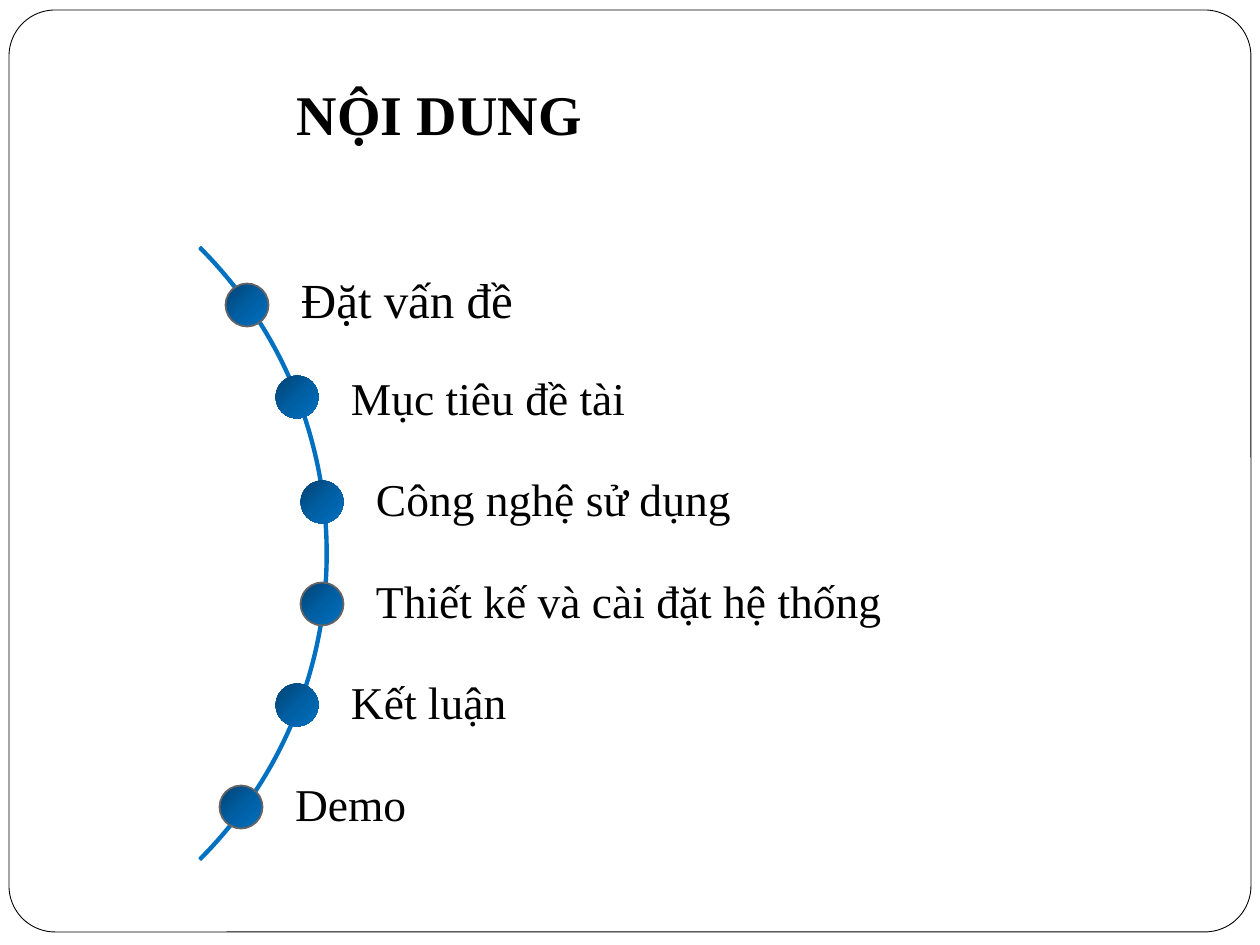
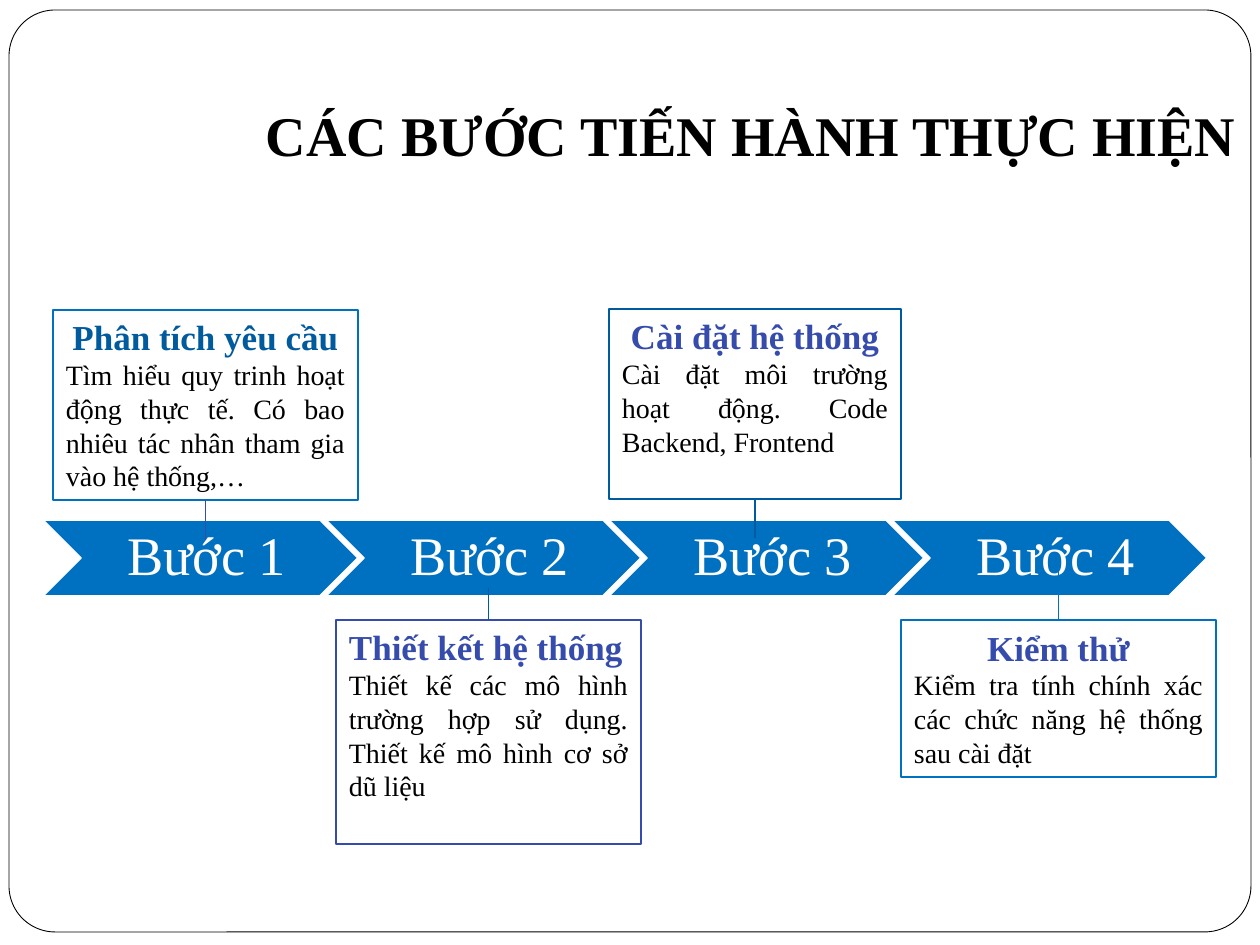
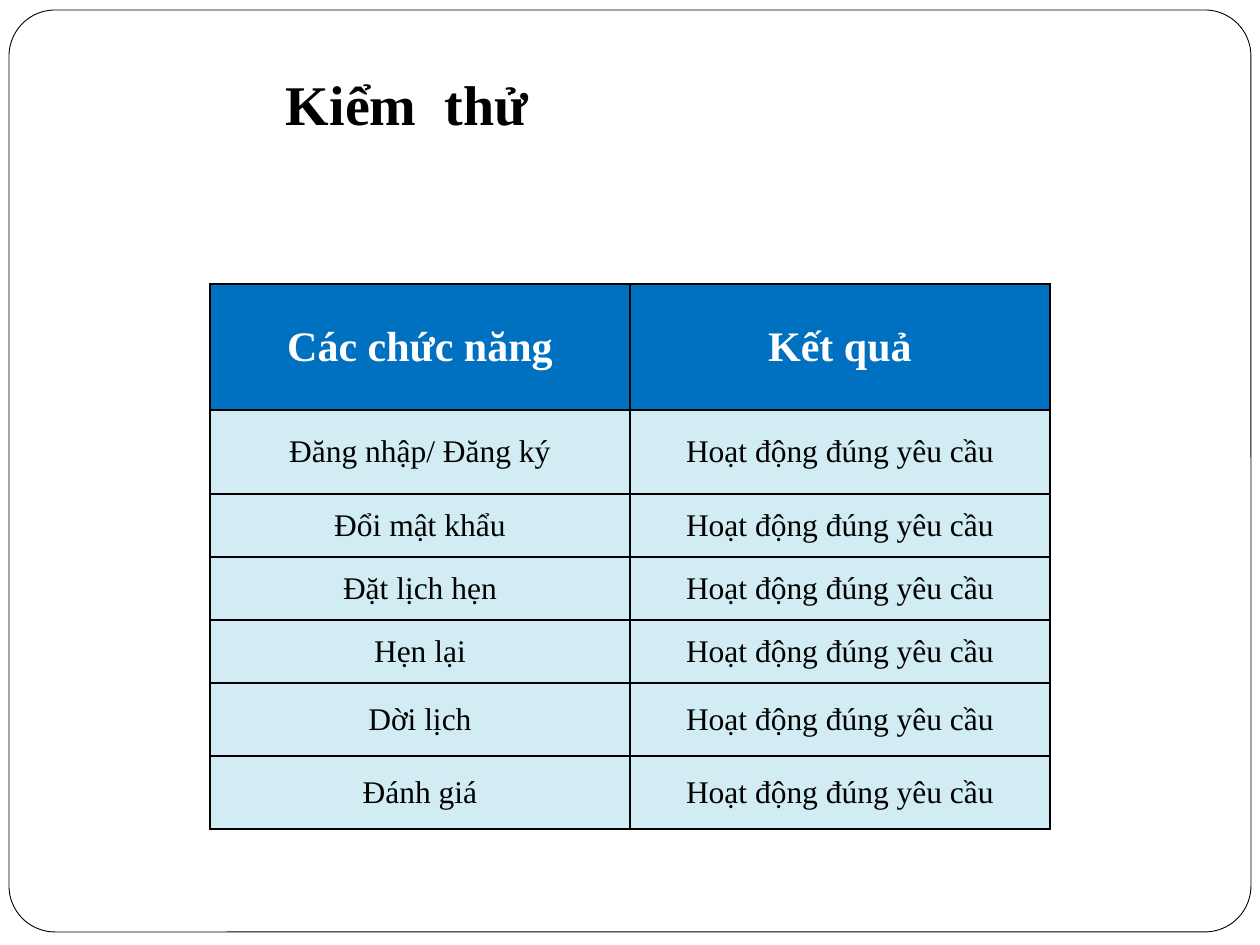
"""Build three slides: contents, project steps and test results."""
from copy import deepcopy

from lxml import etree
from pptx import Presentation
from pptx.dml.color import RGBColor
from pptx.enum.shapes import MSO_CONNECTOR, MSO_SHAPE
from pptx.enum.text import MSO_ANCHOR, PP_ALIGN
from pptx.oxml.ns import qn
from pptx.util import Emu, Pt

LEFT, CENTER, JUSTIFY = PP_ALIGN.LEFT, PP_ALIGN.CENTER, PP_ALIGN.JUSTIFY
TOP, MIDDLE = MSO_ANCHOR.TOP, MSO_ANCHOR.MIDDLE
ROUND_RECT, RECT = MSO_SHAPE.ROUNDED_RECTANGLE, MSO_SHAPE.RECTANGLE
OVAL, ARC, CHEVRON = MSO_SHAPE.OVAL, MSO_SHAPE.BLOCK_ARC, MSO_SHAPE.CHEVRON
STRAIGHT = MSO_CONNECTOR.STRAIGHT

FONT = "Times New Roman"
SCALE = 914400 / 126
COLORS = {
    "black": "000000", "white": "FFFFFF", "blue": "0070C0", "deep": "005A9E",
    "indigo": "354CAD", "gray": "696464", "pale": "D1EDF3",
    "dot dark": "004272", "dot middle": "005EA2",
}
DOT_STOPS = [(0, "dot dark"), (0.5, "dot middle"), (1, "blue")]
DOT_SIZE = 43
DEFAULT_INSETS = (13, 6, 13, 6)

# Dot centre, label centre height, label height, text size, outlined dot
CONTENTS = [
    ("Đặt vấn đề", 247, 305, 303, 74, 28, True),
    ("Mục tiêu đề tài", 297, 397, 401, 68, 26, False),
    ("Công nghệ sử dụng", 322, 502, 502, 68, 26, False),
    ("Thiết kế và cài đặt hệ thống", 322, 604, 604, 68, 26, True),
    ("Kết luận", 297, 705, 705, 68, 26, False),
    ("Demo", 241, 807, 807, 68, 26, True),
]
LABEL_RIGHT = 1041

STEPS = ["Bước 1", "Bước 2", "Bước 3", "Bước 4"]
STEP_LEFT, STEP_TOP, STEP_PITCH, STEP_WIDTH, STEP_HEIGHT = 43, 520, 283, 315, 76
CARDS = [
    {"title": "Phân tích yêu cầu", "align": CENTER, "color": "deep",
     "body": "Tìm hiểu quy trinh hoạt động thực tế. Có bao nhiêu tác nhân "
             "tham gia vào hệ thống,…",
     "box": (53, 310, 305, 190), "line": ("blue", 1), "stem": ("indigo", 500, 540)},
    {"title": "Thiết kết hệ thống", "align": LEFT, "color": "indigo",
     "body": "Thiết kế các mô hình trường hợp sử dụng. Thiết kế mô hình cơ sở dũ liệu",
     "box": (336, 620, 305, 224), "line": ("indigo", 0.75), "stem": ("deep", 620, 588)},
    {"title": "Cài đặt hệ thống", "align": CENTER, "color": "indigo",
     "body": "Cài đặt môi trường hoạt động. Code Backend, Frontend",
     "box": (609, 309, 292, 190), "line": ("deep", 0.75), "stem": ("deep", 499, 538)},
    {"title": "Kiểm thử", "align": CENTER, "color": "indigo",
     "body": "Kiểm tra tính chính xác các chức năng hệ thống sau cài đặt",
     "box": (901, 620, 315, 157), "line": ("blue", 0.75), "stem": ("blue", 620, 571)},
]

HEADER = ("Các chức năng", "Kết quả")
PASSED = "Hoạt động đúng yêu cầu"
FEATURES = ["Đăng nhập/ Đăng ký", "Đổi mật khẩu", "Đặt lịch hẹn", "Hẹn lại",
            "Dời lịch", "Đánh giá"]
ROW_HEIGHTS = [126, 84, 63, 63, 63, 73, 73]
COLUMN_WIDTH = 420


def px(length):
    return Emu(round(length * SCALE))


def rgb(name):
    return RGBColor.from_string(COLORS[name])


def add_paragraph(frame, text, size, color="black", bold=False, align=LEFT,
                  spacing=None, first=True):
    para = frame.paragraphs[0] if first else frame.add_paragraph()
    para.alignment = align
    if spacing:
        para.line_spacing = spacing
    span = para.add_run()
    span.text = text
    span.font.name, span.font.size, span.font.bold = FONT, Pt(size), bold
    span.font.color.rgb = rgb(color)


def set_frame(frame, anchor=TOP, insets=DEFAULT_INSETS):
    frame.word_wrap = True
    frame.vertical_anchor = anchor
    (frame.margin_left, frame.margin_top,
     frame.margin_right, frame.margin_bottom) = map(px, insets)


def add_text(page, box, text, size, anchor=TOP, insets=DEFAULT_INSETS, **style):
    frame = page.shapes.add_textbox(*map(px, box)).text_frame
    set_frame(frame, anchor, insets)
    add_paragraph(frame, text, size, **style)


def add_box(page, kind, box, fill=None, line=None, width=1):
    shape = page.shapes.add_shape(kind, *map(px, box))
    shape.shadow.inherit = False
    if fill:
        shape.fill.solid()
        shape.fill.fore_color.rgb = rgb(fill)
    else:
        shape.fill.background()
    if line:
        shape.line.color.rgb = rgb(line)
        shape.line.width = Pt(width)
    else:
        shape.line.fill.background()
    return shape


def add_page(deck):
    page = deck.slides.add_slide(deck.slide_layouts[6])
    border = add_box(page, ROUND_RECT, (9, 10, 1242, 922), "white", "black", 0.5)
    border.adjustments[0] = 0.05
    return page


def add_title(page, box, text):
    add_text(page, box, text, 32, bold=True)


def add_dot(page, x, y, outlined):
    box = (x - DOT_SIZE / 2, y - DOT_SIZE / 2, DOT_SIZE, DOT_SIZE)
    dot = add_box(page, OVAL, box, line="gray" if outlined else None)
    dot.fill.gradient()
    dot.fill.gradient_angle = 315
    stops = dot.element.spPr.find(".//" + qn("a:gsLst"))
    stops.insert(1, deepcopy(stops[0]))
    for stop, (position, color) in zip(dot.fill.gradient_stops, DOT_STOPS):
        stop.position = position
        stop.color.rgb = rgb(color)


def add_stem(page, x, color, start, end):
    stem = page.shapes.add_connector(STRAIGHT, px(x), px(start), px(x), px(end))
    stem.line.color.rgb = rgb(color)
    stem.line.width = Pt(0.75)
    etree.SubElement(stem.element.spPr, qn("a:effectLst"))


def add_cell_borders(cell):
    properties = cell._tc.get_or_add_tcPr()
    for index, side in enumerate(("lnL", "lnR", "lnT", "lnB")):
        line = etree.Element(qn("a:" + side), w=str(Pt(1)))
        fill = etree.SubElement(line, qn("a:solidFill"))
        etree.SubElement(fill, qn("a:srgbClr"), val=COLORS["black"])
        properties.insert(index, line)


def build_contents(deck):
    page = add_page(deck)
    add_title(page, (284, 73, 467, 81), "NỘI DUNG")
    arc = add_box(page, ARC, (-539, 120, 867, 867), "blue", "blue")
    for index, value in enumerate((189, 27, 0.003)):
        arc.adjustments[index] = value
    for text, x, y, middle, height, size, outlined in CONTENTS:
        box = (x, middle - height / 2, LABEL_RIGHT - x, height)
        add_text(page, box, text, size, MIDDLE, (54, 9, 9, 9), spacing=0.9)
        add_dot(page, x, y, outlined)


def build_steps(deck):
    page = add_page(deck)
    for index, text in enumerate(STEPS):
        left = STEP_LEFT + index * STEP_PITCH
        add_box(page, CHEVRON, (left, STEP_TOP, STEP_WIDTH, STEP_HEIGHT), "blue", "white")
        half = STEP_HEIGHT / 2
        box = (left + half, STEP_TOP, STEP_WIDTH - STEP_HEIGHT, STEP_HEIGHT)
        add_text(page, box, text, 31, MIDDLE, (18, 6, 6, 6),
                 color="white", align=CENTER, spacing=0.9)
    for card in CARDS:
        frame = add_box(page, RECT, card["box"], None, *card["line"]).text_frame
        set_frame(frame)
        add_paragraph(frame, card["title"], 20, card["color"], True, card["align"])
        add_paragraph(frame, card["body"], 16, align=JUSTIFY, first=False)
        left, _, width, _ = card["box"]
        add_stem(page, left + width / 2, *card["stem"])
    add_title(page, (253, 94, 1006, 81), "CÁC BƯỚC TIẾN HÀNH THỰC HIỆN")


def build_results(deck):
    page = add_page(deck)
    add_title(page, (273, 63, 903, 81), "Kiểm  thử")
    rows = [HEADER] + [(feature, PASSED) for feature in FEATURES]
    size = (COLUMN_WIDTH * len(HEADER), sum(ROW_HEIGHTS))
    table = page.shapes.add_table(len(rows), len(HEADER),
                                  *map(px, (210, 284) + size)).table
    for column in table.columns:
        column.width = px(COLUMN_WIDTH)
    for row_index, texts in enumerate(rows):
        table.rows[row_index].height = px(ROW_HEIGHTS[row_index])
        fill, points, color, bold = (("pale", 18, "black", False) if row_index
                                     else ("blue", 24, "white", True))
        for column_index, text in enumerate(texts):
            cell = table.cell(row_index, column_index)
            cell.vertical_anchor = MIDDLE
            cell.fill.solid()
            cell.fill.fore_color.rgb = rgb(fill)
            add_paragraph(cell.text_frame, text, points, color, bold, CENTER)
            add_cell_borders(cell)


def main():
    deck = Presentation()
    deck.slide_width, deck.slide_height = px(1260), px(945)
    build_contents(deck)
    build_steps(deck)
    build_results(deck)
    deck.save("out.pptx")


if __name__ == "__main__":
    main()
